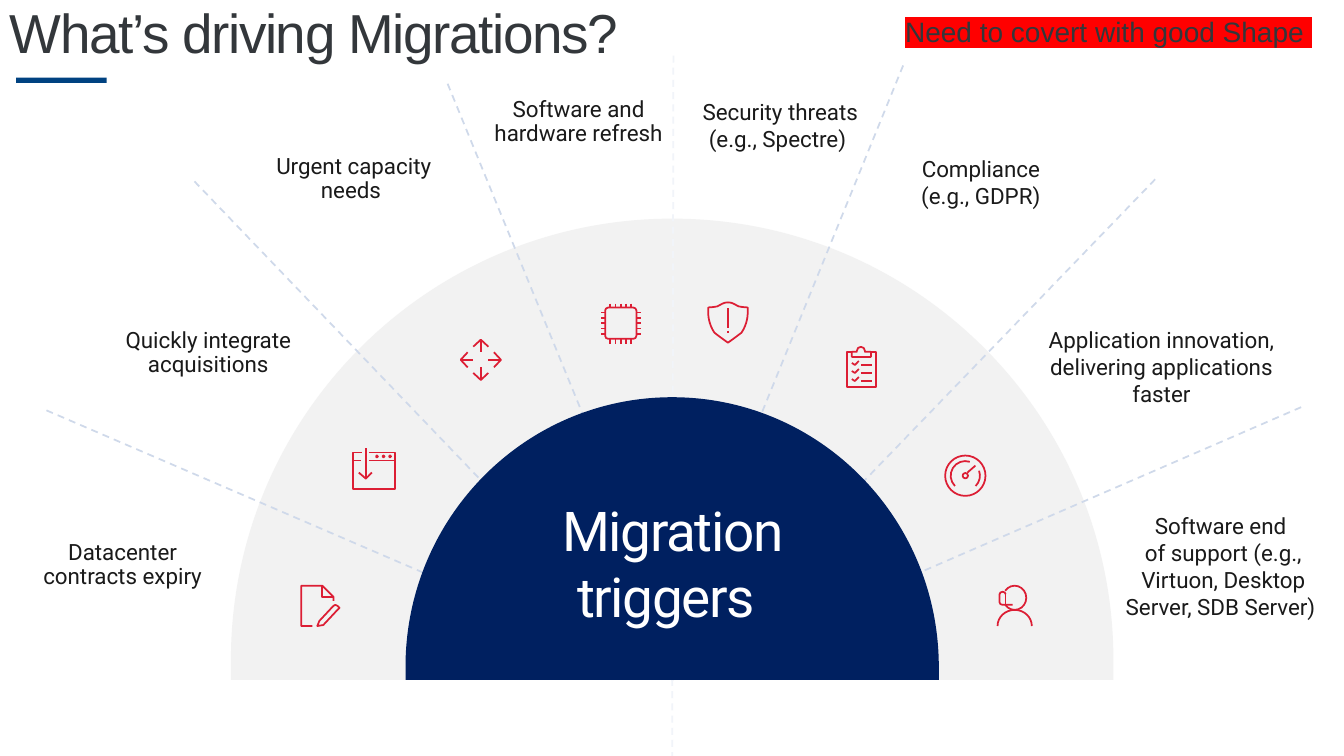
import math

import pptx
import pptx.dml.color
import pptx.enum.dml
import pptx.enum.shapes
import pptx.enum.text
import pptx.oxml
import pptx.oxml.ns
import pptx.util
from pptx.util import Cm

NAVY, BLUE, RED = "002060", "004281", "DC1E34"
INK, TITLE_INK, WHITE = "1A1A1A", "33373B", "FFFFFF"
RAY, PALE_RAY, BAND = "CFD9EA", "F1F4F9", "E6E6E6"
ICON_UNIT = Cm(2.54) // 100
CENTER_X, BASE_Y = 16.94, 17.13


def color(value):
    return pptx.dml.color.RGBColor.from_string(value)


def add_element(parent, tag, **attributes):
    element = pptx.oxml.parse_xml(f"<a:{tag} {pptx.oxml.ns.nsdecls('a')}/>")
    for name, value in attributes.items():
        element.set(name, value)
    parent.append(element)
    return element


# Geometry: a stroke lists points; three points in a tuple make a Bézier curve
def is_curve(item):
    return isinstance(item[0], tuple)


def arc(x, y, radius_x, radius_y, start, end):
    pieces = math.ceil(abs(end - start) / 90)
    step = math.radians(end - start) / pieces
    pull = 4 / 3 * math.tan(step / 4)

    def point(angle, tangent=0):
        return (x + radius_x * (math.cos(angle) - tangent * math.sin(angle)),
                y + radius_y * (math.sin(angle) + tangent * math.cos(angle)))

    angles = [math.radians(start) + i * step for i in range(pieces + 1)]
    return [point(angles[0])] + [(point(a, pull), point(b, -pull), point(b))
                                 for a, b in zip(angles, angles[1:])]


def closed(points):
    return points + points[:1]


# Icons: strokes on a grid of about 40 by 40 units
def window_icon():
    dots = [closed([(x, 9), (x + 1, 8), (x, 7), (x - 1, 8)]) for x in (24, 30.5, 37)]
    return dots + [[(16, 4), (42, 4), (42, 40), (0, 40), (0, 4), (9, 4)],
                   [(16, 12), (42, 12)], [(0, 12), (8, 12)],
                   [(6, 24), (13, 30), (19, 24)], [(13, 0), (13, 30)]]


def arrows_icon():
    strokes = []
    for cos, sin in ((1, 0), (0, 1), (-1, 0), (0, -1)):
        for stroke in ([(-13, -7.5), (-20, 0), (-13, 7.5)], [(-19, 0), (-7.5, 0)]):
            strokes.append([(20 + x * cos - y * sin, 20 + x * sin + y * cos)
                            for x, y in stroke])
    return strokes


def chip_icon():
    strokes = [closed(arc(7, 7, 3, 3, 180, 270) + arc(32, 7, 3, 3, 270, 360)
                      + arc(32, 32, 3, 3, 0, 90) + arc(7, 32, 3, 3, 90, 180))]
    for pin in (9 + 5.25 * i for i in range(5)):
        for start, end in ((0, 4), (35, 40)):
            strokes += [[(pin, start), (pin, end)], [(start, pin), (end, pin)]]
    return strokes


def shield_icon():
    return [[(6, 30), ((0, 21), (0, 12), (0, 12)), (0, 5),
             ((0, 5), (4, 5), (9, 4)), ((13, 2), (15, 0), (19.5, 0)),
             ((24, 0), (26, 2), (30, 4)), ((35, 5), (39, 5), (39, 5)), (39, 12),
             ((39, 12), (39, 21), (33, 30)), ((28, 34), (19.5, 40), (19.5, 40)),
             ((19.5, 40), (11, 34), (6, 30))],
            [(19.5, 6), (19.5, 25)], [(19.5, 28), (19.5, 30)]]


def checklist_icon():
    strokes = [closed(arc(14, 4, 4, 4, 180, 360)
                      + [(18, 5), (24, 5), (24, 10), (5, 10), (5, 5), (10, 5)]),
               [(5, 5), (0, 5), (0, 40), (29, 40), (29, 5), (24, 5)]]
    for y in (18, 26, 34):
        strokes += [[(14, y), (25, y)], [(5, y - 2), (8, y), (12, y - 4)]]
    return strokes


def gauge_icon():
    return [arc(20, 20, 20, 20, 0, 360), arc(20, 20, 2.7, 2.7, 0, 360),
            arc(20, 20, 14.5, 14.5, 45, -20), arc(20, 20, 14.5, 14.5, 288, 135),
            [(30, 10), (22, 17)]]


def support_icon():
    return [arc(17, 40, 17, 16, 180, 360), arc(17, 12, 11.5, 12, 145, -145),
            arc(5, 8.5, 3, 2.5, 360, 180) + arc(5, 16.5, 3, 2.5, 180, 90) + [(15, 19)],
            [(8, 8.5), (8, 19)]]


def contract_icon():
    return [[(32, 11), (21, 11), (21, 0)],
            [(32, 15), (32, 11), (21, 0), (0, 0), (0, 40), (11, 40)],
            closed([(16, 40), (22, 39), (36, 24), (38, 22), (36, 20), (34, 19),
                    (32, 20), (18, 35)])]


# Slide elements
def add_outline(slide, strokes, unit, left=0, top=0):
    builder = None
    for stroke in strokes:
        points = [(left + x * unit, top + y * unit) for item in stroke
                  for x, y in (item if is_curve(item) else [item])]
        if builder is None:
            builder = slide.shapes.build_freeform(*points[0], scale=1.0)
        else:
            builder.move_to(*points[0])
        builder.add_line_segments(points[1:], close=math.dist(points[0], points[-1]) < 1)
    shape = builder.convert_to_shape()
    shape.shadow.inherit = False
    # Join each curve's three line segments into one Bézier segment
    segments = iter(list(shape._element.iter(pptx.oxml.ns.qn("a:lnTo"))))
    for item in (item for stroke in strokes for item in stroke[1:]):
        segment = next(segments)
        if is_curve(item):
            segment.tag = pptx.oxml.ns.qn("a:cubicBezTo")
            for extra in (next(segments), next(segments)):
                segment.append(extra[0])
                extra.getparent().remove(extra)
    return shape


def add_icon(slide, strokes, left, top):
    shape = add_outline(slide, strokes, ICON_UNIT, Cm(left), Cm(top))
    shape.fill.background()
    shape.line.color.rgb = color(RED)
    shape.line.width = pptx.util.Pt(1.25)


def fill_plain(shape, fill):
    shape.shadow.inherit = False
    shape.fill.solid()
    shape.fill.fore_color.rgb = color(fill)
    shape.line.fill.background()


def add_dome(slide, center_y, radius_x, radius_y, fill):
    outline = arc(CENTER_X, center_y, radius_x, radius_y, 180, 360)
    outline += [(CENTER_X + radius_x, BASE_Y), (CENTER_X - radius_x, BASE_Y)]
    shape = add_outline(slide, [closed(outline)], Cm(1))
    fill_plain(shape, fill)
    return shape


def add_ray(slide, start, end, stroke):
    line = slide.shapes.add_connector(pptx.enum.shapes.MSO_CONNECTOR.STRAIGHT,
                                      *map(Cm, start + end))
    line.line.color.rgb = color(stroke)
    line.line.width = pptx.util.Pt(1.25)
    line.line.dash_style = pptx.enum.dml.MSO_LINE.DASH
    add_element(line._element.spPr, "effectLst")


def add_text(slide, text, box, size, font, ink, centered=True, spacing=1.0,
             margins=(0.25, 0.13, 0.25, 0.13), tracking=None, highlight=None):
    frame = slide.shapes.add_textbox(*map(Cm, box)).text_frame
    frame.word_wrap = True
    (frame.margin_left, frame.margin_top,
     frame.margin_right, frame.margin_bottom) = map(Cm, margins)
    frame.text = text
    for paragraph in frame.paragraphs:
        if centered:
            paragraph.alignment = pptx.enum.text.PP_ALIGN.CENTER
        paragraph.line_spacing = spacing
        for run in paragraph.runs:
            run.font.size = pptx.util.Pt(size)
            run.font.color.rgb = color(ink)
            properties = run._r.get_or_add_rPr()
            if highlight:
                add_element(add_element(properties, "highlight"), "srgbClr", val=highlight)
            if tracking:
                properties.set("spc", str(tracking))
            run.font.name = font


# Triggers: text, box, line spacing, icon, icon corner
TRIGGERS = (
    ("Quickly integrate acquisitions", (2.54, 8.16, 5.16, 1.5), 0.9, window_icon, (8.89, 11.3)),
    ("Urgent capacity needs ", (5.99, 3.78, 5.59, 1.5), 0.9, arrows_icon, (11.61, 8.56)),
    ("Software and hardware refresh", (11.49, 2.34, 5.92, 1.5), 0.9, chip_icon, (15.15, 7.65)),
    ("Security threats\n(e.g., Spectre) ", (16.97, 2.34, 5.13, 1.63), 1.0,
     shield_icon, (17.85, 7.62)),
    ("Compliance \n(e.g., GDPR) ", (21.46, 3.78, 6.4, 2.24), 1.0, checklist_icon, (21.34, 8.74)),
    ("Application innovation, delivering applications faster",
     (25.66, 8.1, 6.96, 2.31), 1.0, gauge_icon, (23.82, 11.48)),
    ("Software end \vof support (e.g., Virtuon, Desktop Server, SDB Server) ",
     (27.74, 12.78, 5.92, 3), 1.0, support_icon, (25.14, 14.76)),
    ("Datacenter contracts expiry", (0.18, 13.51, 5.56, 1.5), 0.9, contract_icon, (7.59, 14.76)))


def main():
    presentation = pptx.Presentation()
    presentation.slide_width, presentation.slide_height = Cm(33.87), Cm(19.05)
    slide = presentation.slides.add_slide(presentation.slide_layouts[6])

    # Half-transparent outer band
    band = add_dome(slide, 16.63, 11.12, 11.12, BAND)
    band_color = band._element.spPr.find(".//" + pptx.oxml.ns.qn("a:srgbClr"))
    add_element(band_color, "alpha", val="50000")

    # Dashed rays between the triggers
    hub, upper_hub = (CENTER_X, BASE_Y), (CENTER_X, 15.95)
    for start, end, stroke in (
            ((1.17, 10.34), hub, RAY), ((4.9, 4.57), hub, RAY),
            ((32.79, 10.26), hub, RAY), ((22.76, 1.65), upper_hub, RAY),
            ((16.97, 1.4), (CENTER_X, 19.05), PALE_RAY),
            ((11.28, 2.11), upper_hub, RAY), ((29.11, 4.52), hub, RAY)):
        add_ray(slide, start, end, stroke)

    # Inner dome
    add_dome(slide, 16.81, 6.72, 6.8, NAVY)
    add_text(slide, "Migration triggers ", (13.28, 12.38, 7.32, 1.55), 39.2, "Roboto",
             WHITE, tracking=-100)

    for text, box, spacing, icon, corner in TRIGGERS:
        add_text(slide, text, box, 16, "Roboto", INK, spacing=spacing,
                 margins=(0.51, 0.13, 0.25, 0.13))
        add_icon(slide, icon(), *corner)

    # Title, underline and note
    add_text(slide, "What’s driving Migrations?", (0, 0.02, 33.87, 2.49), 39.2, "Arial",
             TITLE_INK, centered=False, spacing=0.9, tracking=-100)
    underline = slide.shapes.add_shape(pptx.enum.shapes.MSO_SHAPE.RECTANGLE,
                                       Cm(0.41), Cm(1.96), Cm(2.28), Cm(0.13))
    fill_plain(underline, BLUE)
    add_text(slide, "Need to covert with good Shape ", (22.56, 0.11, 11.3, 1.37), 20,
             "Arial", TITLE_INK, centered=False, margins=(0.25,) * 4, highlight="FF0000")

    presentation.save("out.pptx")


if __name__ == "__main__":
    main()
